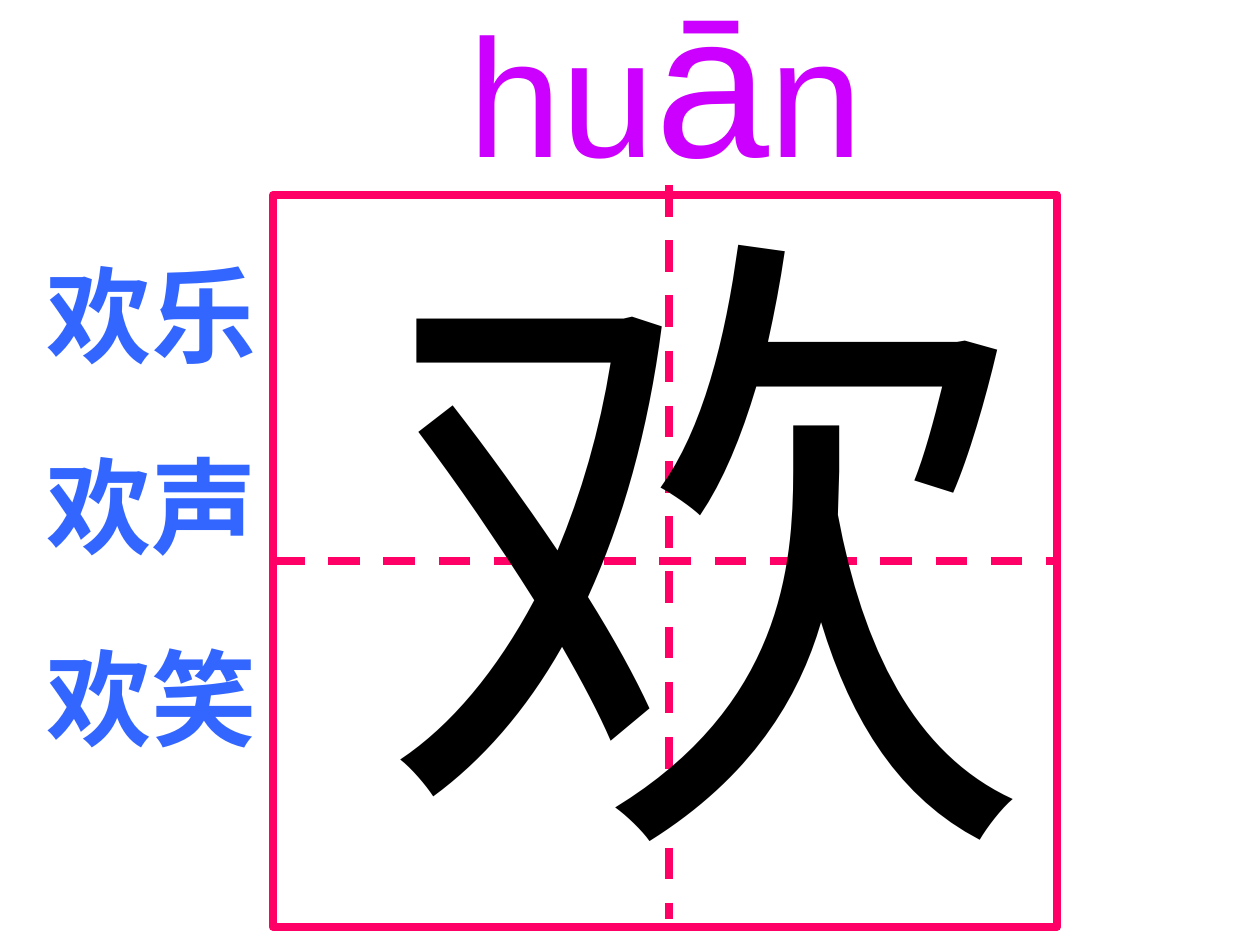
from typing import NamedTuple

from lxml import etree
from pptx import Presentation
from pptx import util as u
from pptx.dml.color import RGBColor
from pptx.enum import dml, shapes, text
from pptx.oxml.ns import qn

PX = 914400 / 126
PINK, BLACK, BLUE, PURPLE = "FF0066", "000000", "3366FF", "CC00FF"


class Run(NamedTuple):
    content: str
    size: int


class TextBox(NamedTuple):
    box: tuple[int, int, int, int]
    paragraphs: list[list[Run]]
    font: dict
    color: str
    wrap: bool = True
    gap: float = 0


class Line(NamedTuple):
    start: tuple[int, int]
    end: tuple[int, int]
    color: str = PINK
    width: float = 4.5
    dashed: bool = True


def px(*values: int) -> list[int]:
    return [u.Emu(round(v * PX)) for v in values]


def rgb(color: str) -> RGBColor:
    return RGBColor.from_string(color)


def style_line(line, color: str, width: float) -> None:
    line.color.rgb = rgb(color)
    line.width = u.Pt(width)


def add_line(parent, line: Line):
    cn = parent.add_connector(shapes.MSO_CONNECTOR.STRAIGHT,
                              *px(*line.start, *line.end))
    style_line(cn.line, line.color, line.width)
    if line.dashed:
        cn.line.dash_style = dml.MSO_LINE.DASH
    etree.SubElement(cn._element.spPr, qn("a:effectLst"))
    return cn


def add_frame(parent, box: tuple[int, int, int, int]):
    sp = parent.add_shape(shapes.MSO_SHAPE.RECTANGLE, *px(*box))
    sp.shadow.inherit = False
    sp.fill.background()
    style_line(sp.line, PINK, 4.5)
    return sp


def add_text(parent, item: TextBox) -> None:
    tf = parent.add_textbox(*px(*item.box)).text_frame
    tf.word_wrap = item.wrap
    tf.auto_size = text.MSO_AUTO_SIZE.SHAPE_TO_FIT_TEXT
    for i, runs in enumerate(item.paragraphs):
        p = tf.add_paragraph() if i else tf.paragraphs[0]
        if i and item.gap:
            p.space_before = u.Pt(item.gap)
        for run in runs:
            r = p.add_run()
            r.text = run.content
            for name, value in item.font.items():
                setattr(r.font, name, value)
            r.font.size = u.Pt(run.size)
            r.font.color.rgb = rgb(item.color)


TEXTS = [
    TextBox((372, 135, 648, 790), [[Run("欢", 370)]],
            {"name": "Times New Roman"}, BLACK),
    TextBox((34, 244, 258, 522),
            [[Run(word, 60)] for word in ("欢乐", "欢声", "欢笑")],
            {"name": "Arial", "bold": True}, BLUE, gap=37.5),
    TextBox((456, -53, 420, 258),
            [[Run("hu", 96), Run("ā", 117), Run("n", 96)]],
            {"name": "Arial"}, PURPLE, wrap=False),
]


def main() -> None:
    prs = Presentation()
    prs.slide_width, prs.slide_height = px(1260, 945)
    s = prs.slides.add_slide(prs.slide_layouts[6])

    add_line(s.shapes, Line((233, 562), (233, 562), BLACK, 0.75, False))
    grid = s.shapes.add_group_shape().shapes
    frame = add_frame(grid, (273, 195, 784, 732))
    middle = add_line(grid, Line((273, 561), (1057, 561)))
    middle.begin_connect(frame, 1)
    middle.end_connect(frame, 3)
    add_line(s.shapes, Line((669, 185), (669, 919)))
    for item in TEXTS:
        add_text(s.shapes, item)

    prs.save("out.pptx")


if __name__ == "__main__":
    main()
